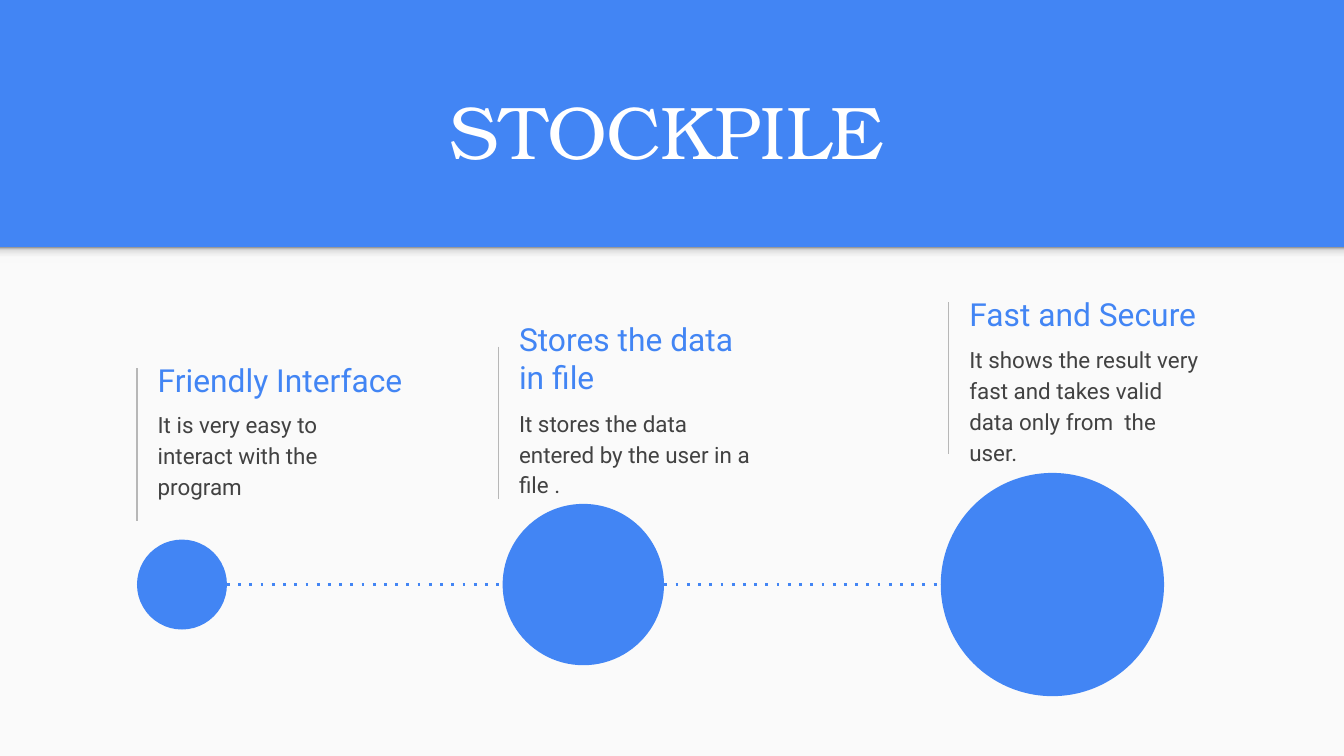
from lxml.etree import SubElement
from pptx import Presentation
from pptx.dml.color import RGBColor
from pptx.enum.shapes import MSO_CONNECTOR as CONN, MSO_SHAPE as SHAPE
from pptx.enum.text import MSO_ANCHOR as ANCHOR, MSO_AUTO_SIZE as AUTO, PP_ALIGN as ALIGN
from pptx.oxml import parse_xml
from pptx.oxml.ns import nsdecls, qn
from pptx.util import Cm, Pt

BLUE = RGBColor(0x42, 0x85, 0xF4)
WHITE = RGBColor(0xFF, 0xFF, 0xFF)
PAPER = RGBColor(0xFA, 0xFA, 0xFA)
RULE = RGBColor(0xB7, 0xB7, 0xB7)
INK = RGBColor(0x42, 0x42, 0x42)
SHADE = ((0, RGBColor(0xF9, 0xF9, 0xF9)), (36, RGBColor(0xF9, 0xF9, 0xF9)),
         (80, RGBColor(0xDE, 0xDE, 0xDE)), (100, RGBColor(0x99, 0x99, 0x99)))

TITLE = {"name": "TeX Gyre Bonum", "size": Pt(40), "bold": False}
HEADING = {"name": "Roboto", "size": Pt(17), "bold": False}
BODY = {"name": "Roboto", "size": Pt(12), "bold": False}
SPACING = {"line_spacing": 1.15, "space_before": Pt(0), "space_after": Pt(16)}

WIDTH, HEIGHT = 25.4, 14.29
FEATURES = (
    ("Friendly Interface", "It is very easy to interact with the program",
     (2.59, 6.96, 6.2, 2.88), 0.48, 1.6),
    ("Stores the data in file", "It stores the data entered by the user in a file .",
     (9.42, 6.55, 5.03, 2.88), 0.87, 1.9),
    ("Fast and Secure",
     "It shows the result very fast and takes valid data only from  the user.",
     (17.93, 5.71, 5.03, 2.88), 0.51, 1.6),
)
CIRCLES = ((0, 1.7), (6.91, 3.05), (15.19, 4.22))


def place(sp, box):
    """Move a shape to a box given in centimetres."""
    sp.left, sp.top, sp.width, sp.height = map(Cm, box)


def write(sp, box, text, font, color, anchor, align=ALIGN.LEFT):
    """Put one formatted paragraph in a text shape and return the paragraph."""
    place(sp, box)
    tf = sp.text_frame
    frame = {"word_wrap": True, "auto_size": AUTO.NONE, "vertical_anchor": anchor}
    frame.update({f"margin_{side}": Cm(0.25) for side in ("left", "top", "right", "bottom")})
    for key, value in frame.items():
        setattr(tf, key, value)
    p = tf.paragraphs[0]
    p.alignment = align
    r = p.add_run()
    r.text = text
    for key, value in font.items():
        setattr(r.font, key, value)
    r.font.color.rgb = color
    return p


def add_flat(shapes, kind, box, color):
    """Add a plain filled shape without outline or shadow."""
    sp = shapes.add_shape(kind, *map(Cm, box))
    sp.shadow.inherit = False
    sp.fill.solid()
    sp.fill.fore_color.rgb = color
    sp.line.fill.background()
    return sp


def add_rule(shapes, start, end, color, width):
    """Add a straight line without shadow."""
    line = shapes.add_connector(CONN.STRAIGHT, *map(Cm, start + end))
    line.line.color.rgb = color
    line.line.width = Pt(width)
    SubElement(line._element.spPr, qn("a:effectLst"))
    return line


def add_panel(slide, box):
    """Lay the light panel and its top shade behind the text."""
    x, y, w, h = box
    panel = add_flat(slide.shapes, SHAPE.RECTANGLE, box, PAPER)
    shade = add_flat(slide.shapes, SHAPE.RECTANGLE, (x, y, w, 0.3), PAPER)
    stops = "".join(f'<a:gs pos="{pos * 1000}"><a:srgbClr val="{color}"/></a:gs>'
                    for pos, color in SHADE)
    grad = parse_xml(f'<a:gradFill {nsdecls("a")}><a:gsLst>{stops}</a:gsLst>'
                     '<a:lin ang="16200000" scaled="0"/></a:gradFill>')
    spPr = shade._element.spPr
    spPr.replace(spPr.find(qn("a:solidFill")), grad)
    for i, sp in enumerate((panel, shade), 2):
        slide.shapes._spTree.insert(i, sp._element)


def add_feature(slide, body, heading, text, box, drop, body_height):
    """Add a vertical rule with a heading and a description beside it."""
    x, y, w, h = box
    add_rule(slide.shapes, (x, y), (x, y + h), RULE, 0.75)
    area = (x + 0.14, y - 0.33, w, 1.09)
    sp = slide.shapes.add_textbox(*map(Cm, area))
    write(sp, area, heading, HEADING, BLUE, ANCHOR.MIDDLE)
    p = write(body, (x + 0.14, y + drop, 5.03, body_height), text, BODY, INK, ANCHOR.TOP)
    for key, value in SPACING.items():
        setattr(p, key, value)
    pPr = p._p.get_or_add_pPr()
    pPr.set("marL", "0")
    pPr.set("indent", "0")
    SubElement(pPr, qn("a:buNone"))


def add_timeline(slide, box):
    """Group the growing circles on a dotted line through the middle of the box."""
    x, y, w, h = box
    mid = y + h / 2
    shapes = slide.shapes.add_group_shape().shapes
    line = add_rule(shapes, (x + CIRCLES[0][1], mid), (x + CIRCLES[-1][0], mid), BLUE, 1.5)
    SubElement(line._element.spPr.find(qn("a:ln")), qn("a:prstDash"), val="dot")
    for dx, d in CIRCLES:
        add_flat(shapes, SHAPE.OVAL, (x + dx, mid - d / 2, d, d), BLUE)


def main():
    """Build the slide and save it."""
    prs = Presentation()
    prs.slide_width, prs.slide_height = Cm(WIDTH), Cm(HEIGHT)
    slide = prs.slides.add_slide(prs.slide_layouts.get_by_name("Comparison"))
    slide.background.fill.solid()
    slide.background.fill.fore_color.rgb = BLUE
    title, *bodies, spare = slide.placeholders
    spare._element.getparent().remove(spare._element)
    add_panel(slide, (0, 4.67, WIDTH, HEIGHT - 4.67))
    write(title, (1.32, 1.42, 22.58, 2.13), "STOCKPILE", TITLE, WHITE,
          ANCHOR.BOTTOM, ALIGN.CENTER)
    for body, feature in zip(bodies, FEATURES):
        add_feature(slide, body, *feature)
    add_timeline(slide, (2.59, 8.94, 19.41, 4.22))
    prs.save("out.pptx")


if __name__ == "__main__":
    main()
